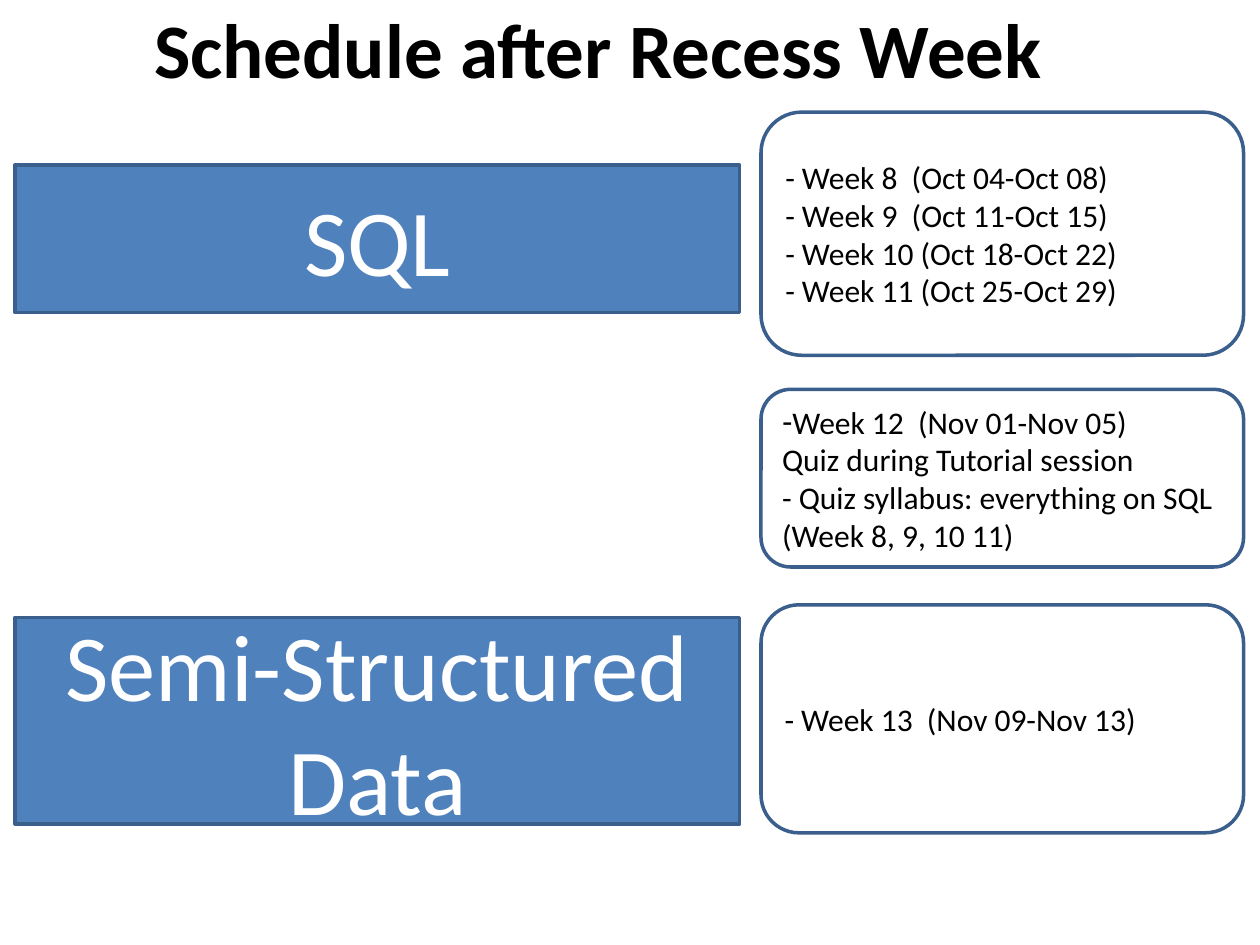
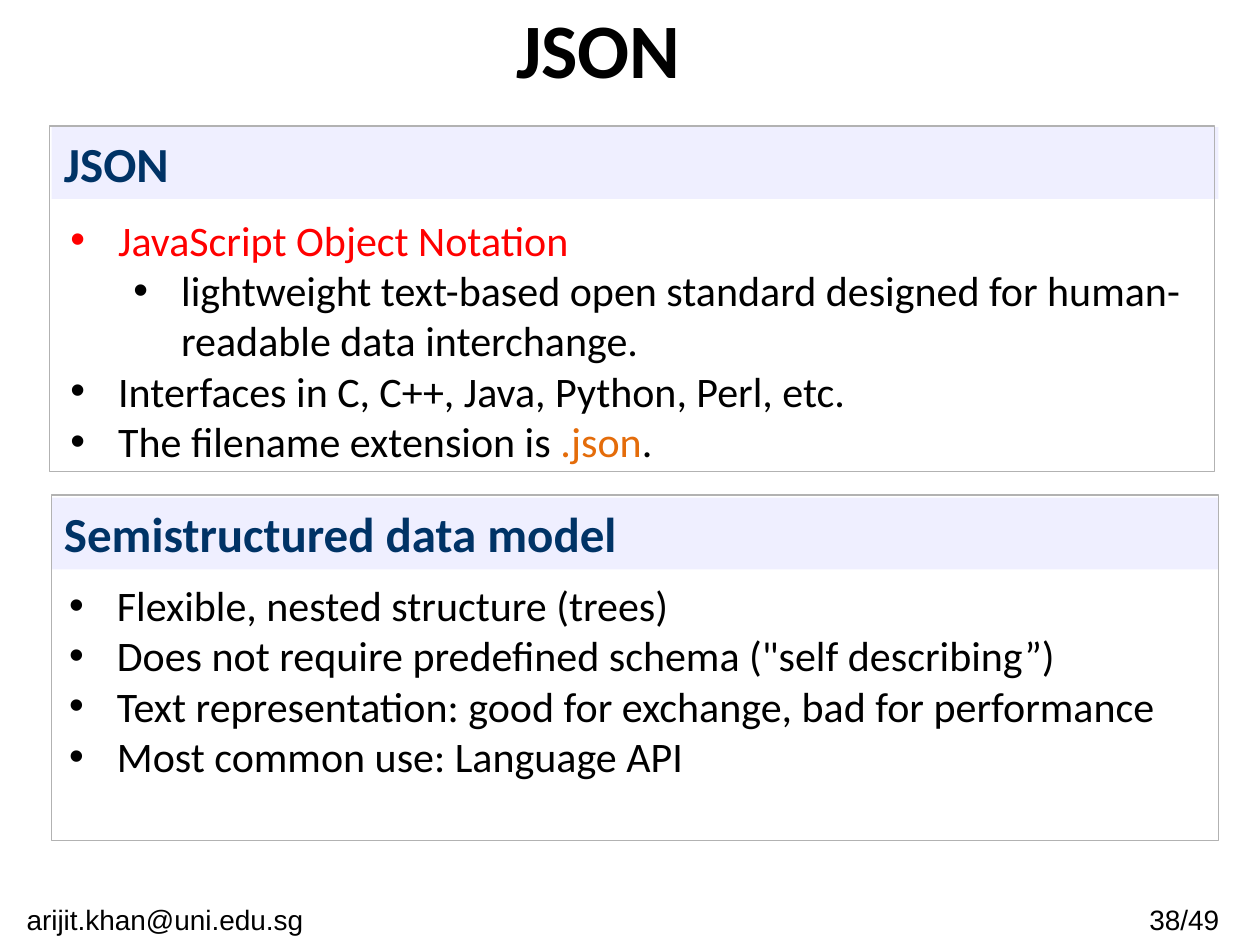
from dataclasses import dataclass

from lxml.etree import SubElement
from pptx import Presentation
from pptx.dml.color import RGBColor
from pptx.enum.shapes import MSO_SHAPE
from pptx.enum.text import MSO_ANCHOR, MSO_AUTO_SIZE, PP_ALIGN
from pptx.oxml.ns import qn
from pptx.util import Inches, Pt


@dataclass(frozen=True)
class Theme:
    """Colours, fonts and type sizes shared by the slides."""
    ink: str = "000000"
    white: str = "FFFFFF"
    topic: str = "4F81BD"
    outline: str = "3A5F8C"
    band: str = "EFEFFF"
    heading: str = "003366"
    frame: str = "B2B2B2"
    alert: str = "FF0000"
    accent: str = "E46C0A"
    font: str = "Calibri"
    footer_font: str = "Arial"
    title_size: int = 44
    topic_size: int = 54
    heading_size: int = 28
    body_size: int = 24
    note_size: int = 18
    footer_size: int = 16


THEME = Theme()
WIDTH, HEIGHT = 10, 7.5
TOPIC_LEFT, TOPIC_WIDTH = 0.12, 5.75
WEEKS_LEFT, WEEKS_WIDTH = 6.04, 3.83
BAND_HEIGHT, PANEL_HEIGHT, BODY_HEIGHT = 0.57, 2.74, 2.12
FOOTER_HEIGHT = 0.39
BULLET_INDENT, LEVEL_STEP = 0.38, 0.5


def add_span(para, text, size, color=THEME.ink, bold=False, font=THEME.font):
    """Append one formatted run to a paragraph."""
    span = para.add_run()
    span.text = text
    span.font.name, span.font.size, span.font.bold = font, Pt(size), bold
    span.font.color.rgb = RGBColor.from_string(color)


def next_para(frame, index, align=PP_ALIGN.LEFT):
    """Return the first paragraph of a frame, or a new one after it."""
    para = frame.add_paragraph() if index else frame.paragraphs[0]
    para.alignment = align
    return para


def set_bullet(para, mark, left=0, hanging=0):
    """Give a paragraph a bullet mark and a hanging indent in inches."""
    props = para._p.get_or_add_pPr()
    props.set("marL", str(Inches(left)))
    props.set("indent", str(-Inches(hanging)))
    SubElement(props, qn("a:buFont")).set("typeface", THEME.footer_font)
    SubElement(props, qn("a:buChar")).set("char", mark)


def add_box(page, kind, area, fill=None, line=None, weight=2.0):
    """Add a preset shape with an optional fill and outline."""
    box = page.shapes.add_shape(kind, *map(Inches, area))
    box.shadow.inherit = False
    if fill:
        box.fill.solid()
        box.fill.fore_color.rgb = RGBColor.from_string(fill)
    else:
        box.fill.background()
    if line:
        box.line.color.rgb = RGBColor.from_string(line)
        box.line.width = Pt(weight)
    else:
        box.line.fill.background()
    box.text_frame.word_wrap = True
    return box


def add_text_box(page, area):
    """Add a wrapping text box and return its frame."""
    frame = page.shapes.add_textbox(*map(Inches, area)).text_frame
    frame.word_wrap = True
    return frame


def add_page(deck, title):
    """Add a title-only slide with the shared title style."""
    page = deck.slides.add_slide(deck.slide_layouts[5])
    holder = page.shapes.title
    holder.left, holder.top = Inches(0.25), 0
    holder.width, holder.height = Inches(0.9 * WIDTH), Inches(0.1 * HEIGHT)
    frame = holder.text_frame
    frame.auto_size = MSO_AUTO_SIZE.NONE
    frame.vertical_anchor = MSO_ANCHOR.MIDDLE
    para = next_para(frame, 0, PP_ALIGN.CENTER)
    add_span(para, title, THEME.title_size, bold=True)
    return page


def add_topic(page, text, top, height):
    """Add a filled topic block in the left column."""
    box = add_box(page, MSO_SHAPE.RECTANGLE,
                  (TOPIC_LEFT, top, TOPIC_WIDTH, height),
                  THEME.topic, THEME.outline)
    box.text_frame.vertical_anchor = MSO_ANCHOR.MIDDLE
    para = next_para(box.text_frame, 0, PP_ALIGN.CENTER)
    add_span(para, text, THEME.topic_size, THEME.white)


def add_weeks(page, lines, top, height, first_mark=None):
    """Add a rounded card of week notes in the right column."""
    box = add_box(page, MSO_SHAPE.ROUNDED_RECTANGLE,
                  (WEEKS_LEFT, top, WEEKS_WIDTH, height), line=THEME.outline)
    box.text_frame.vertical_anchor = MSO_ANCHOR.MIDDLE
    for index, text in enumerate(lines):
        para = next_para(box.text_frame, index)
        if first_mark and index == 0:
            set_bullet(para, first_mark)
        add_span(para, text, THEME.note_size)


def add_panel(page, heading, band_at, frame_at, frame_width, body_at, items):
    """Add a heading band, a thin frame and a list of (level, spans)."""
    band = add_box(page, MSO_SHAPE.RECTANGLE,
                   (*band_at, 9.26, BAND_HEIGHT), THEME.band)
    band.text_frame.vertical_anchor = MSO_ANCHOR.TOP
    add_span(next_para(band.text_frame, 0), heading,
             THEME.heading_size, THEME.heading, bold=True)
    add_box(page, MSO_SHAPE.RECTANGLE,
            (*frame_at, frame_width, PANEL_HEIGHT), line=THEME.frame, weight=0.75)
    body = add_text_box(page, (*body_at, 9.2, BODY_HEIGHT))
    for index, (level, spans) in enumerate(items):
        para = next_para(body, index)
        para.level = level
        set_bullet(para, "•", BULLET_INDENT + level * LEVEL_STEP, BULLET_INDENT)
        for text, color in spans:
            add_span(para, text, THEME.body_size, color)


def add_footer(page, text, left, width):
    """Add a centred footer text at the bottom edge."""
    frame = add_text_box(page, (left, HEIGHT - FOOTER_HEIGHT, width, FOOTER_HEIGHT))
    para = next_para(frame, 0, PP_ALIGN.CENTER)
    add_span(para, text, THEME.footer_size, font=THEME.footer_font)


def build_schedule(deck):
    """Build the slide of topics and their weeks."""
    page = add_page(deck, "Schedule after Recess Week")
    add_topic(page, "SQL", 1.31, 1.17)
    add_topic(page, "Semi-Structured Data", 4.9, 1.64)
    add_weeks(page, ["- Week 8  (Oct 04-Oct 08)", "- Week 9  (Oct 11-Oct 15)",
                     "- Week 10 (Oct 18-Oct 22)", "- Week 11 (Oct 25-Oct 29)"],
              0.89, 1.93)
    add_weeks(page, ["- Week 13  (Nov 09-Nov 13)"], 4.8, 1.81)
    add_weeks(page, ["Week 12  (Nov 01-Nov 05)", "Quiz during Tutorial session",
                     "- Quiz syllabus: everything on SQL (Week 8, 9, 10 11)"],
              3.09, 1.41, first_mark="-")


def build_json(deck):
    """Build the slide on JSON and the semistructured data model."""
    page = add_page(deck, "JSON")
    add_footer(page, "38/49 ", 8.85, 1.16)
    add_footer(page, "arijit.khan@uni.edu.sg ", 0, 2.68)
    ink = THEME.ink
    add_panel(page, "JSON", (0.41, 1.01), (0.39, 1), 9.25, (0.46, 1.65), [
        (0, [("JavaScript Object Notation", THEME.alert)]),
        (1, [("lightweight text-based open standard designed for "
              "human-readable data interchange. ", ink)]),
        (0, [("Interfaces in C, C++, Java, Python, Perl, etc.", ink)]),
        (0, [("The filename extension is ", ink), (".json", THEME.accent),
             (".", ink)]),
    ])
    model = ["Flexible, nested structure (trees)",
             "Does not require predefined schema (\"self describing”)",
             "Text representation: good for exchange, bad for performance",
             "Most common use: Language API"]
    add_panel(page, "Semistructured data model", (0.41, 3.95), (0.41, 3.93), 9.26,
              (0.45, 4.55), [(0, [(text, ink)]) for text in model])


def main():
    """Build both slides and save the deck."""
    deck = Presentation()
    deck.slide_width, deck.slide_height = Inches(WIDTH), Inches(HEIGHT)
    build_schedule(deck)
    build_json(deck)
    deck.save("out.pptx")


main()
